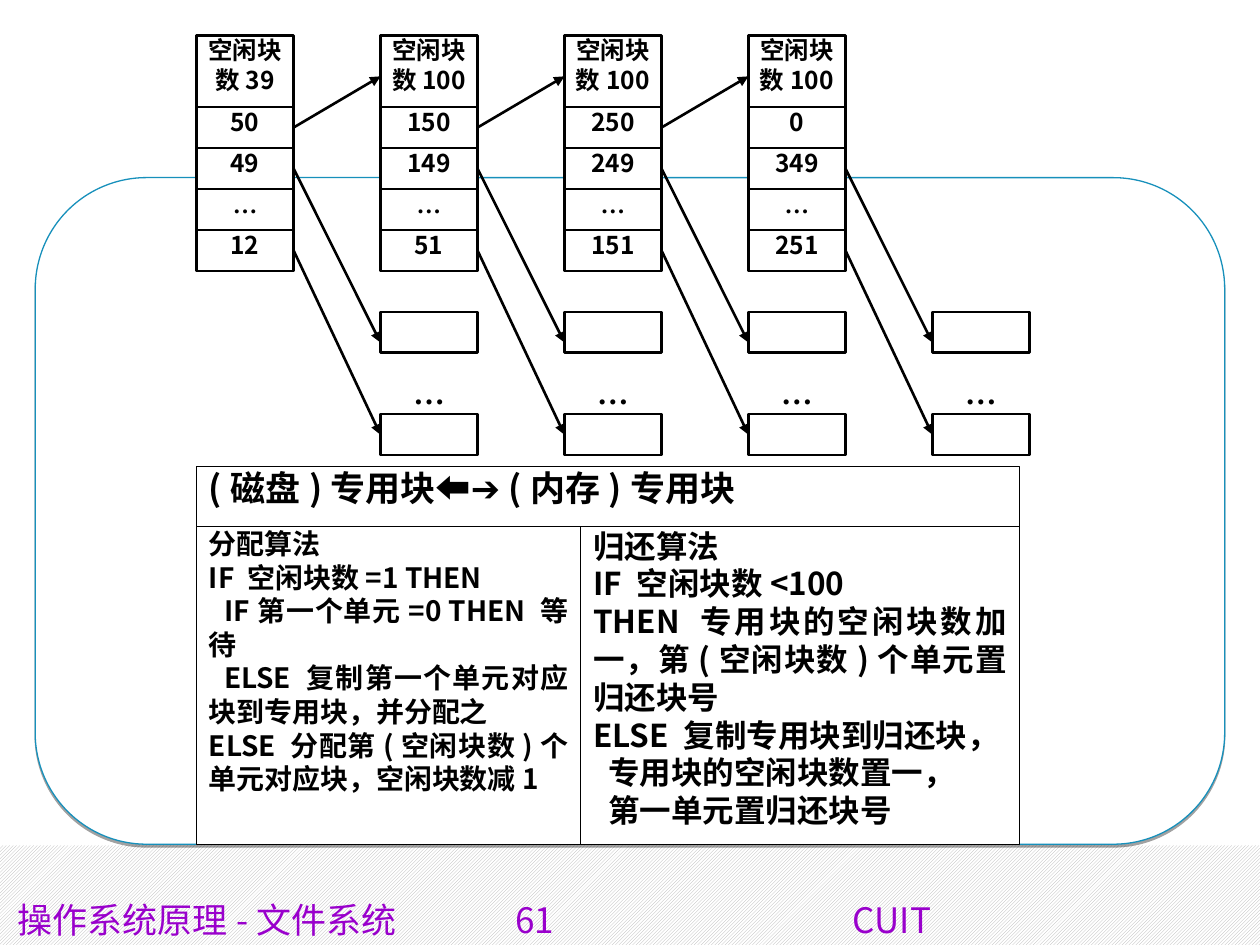
from dataclasses import dataclass

from lxml import etree
from pptx import Presentation, util as u
from pptx.dml.color import RGBColor
from pptx.enum import dml, shapes, text
from pptx.oxml import parse_xml
from pptx.oxml.ns import nsdecls, qn


@dataclass(frozen=True)
class Theme:
    black: str = "000000"
    white: str = "FFFFFF"
    frame: str = "1790BB"
    hatch: str = "B2B2B2"
    footer: str = "9900CC"
    font: str = "Noto Sans CJK JP"
    footer_font: str = "Noto Sans CJK SC"
    dots_font: str = "Times New Roman"
    cell: int = 14
    alloc: int = 16
    body: int = 18
    title: int = 20
    rule: float = 1.5
    hairline: float = 0.75


@dataclass(frozen=True)
class Box:
    left: float
    top: float
    width: float
    height: float

    def emu(self) -> list[int]:
        return [u.Inches(v) for v in (self.left, self.top, self.width, self.height)]


@dataclass(frozen=True)
class Stack:
    """One linked group of free blocks: its count and four entries."""
    count: str
    entries: tuple[str, ...]


@dataclass(frozen=True)
class Panel:
    box: Box
    size: int
    lines: tuple[str, ...]
    indented: tuple[int, ...] = ()


T = Theme()
WIDTH, HEIGHT = 10, 7.5
LEFT, PITCH, CELL_W = 1.56, 1.46, 0.77
HEAD_TOP, GRID_TOP, ROW = 0.28, 0.85, 0.325
INDENT = 0.12
DOTS = "…"

STACKS = (
    Stack("39", ("50", "49", DOTS, "12")),
    Stack("100", ("150", "149", DOTS, "51")),
    Stack("100", ("250", "249", DOTS, "151")),
    Stack("100", ("0", "349", DOTS, "251")),
)
# Rows of the grid: where an arrow leaves a stack and where it lands
NEXT_LINK = (0.5, -0.75)
BLOCK_LINKS = ((1.5, 5.75), (3.5, 8))
BLOCK_ROWS, DOTS_ROW = (5, 7.5), 6.5

PANELS = (
    Panel(Box(LEFT, 4.18, 3.05, 2.52), T.alloc, (
        "分配算法",
        "IF 空闲块数=1 THEN",
        "IF第一个单元=0 THEN 等待",
        "ELSE 复制第一个单元对应块到专用块，并分配之",
        "ELSE 分配第(空闲块数)个单元对应块，空闲块数减1"), (2, 3)),
    Panel(Box(LEFT + 3.05, 4.18, 3.48, 2.52), T.body, (
        "归还算法",
        "IF 空闲块数<100",
        "THEN 专用块的空闲块数加一，第(空闲块数)个单元置归还块号",
        "ELSE 复制专用块到归还块，",
        "专用块的空闲块数置一，",
        "第一单元置归还块号"), (4, 5)),
    Panel(Box(LEFT, 3.7, 6.53, 0.48), T.title, ("(磁盘)专用块⬅➔(内存)专用块",)),
)


def col_x(col: int) -> float:
    return LEFT + col * PITCH


def row_y(row: float) -> float:
    return GRID_TOP + row * ROW


def add_box(s, box: Box, line: str | None = T.black, weight: float = T.rule,
            kind=shapes.MSO_SHAPE.RECTANGLE):
    sp = s.shapes.add_shape(kind, *box.emu())
    sp.shadow.inherit = False
    sp.fill.solid()
    sp.fill.fore_color.rgb = RGBColor.from_string(T.white)
    if line:
        sp.line.color.rgb = RGBColor.from_string(line)
        sp.line.width = u.Pt(weight)
    else:
        sp.line.fill.background()
    return sp


def style(p, size: int, font: str, color: str = T.black, bold: bool = True) -> None:
    """Set Latin and East Asian fonts alike on a paragraph."""
    p.font.size = u.Pt(size)
    p.font.bold = bold
    p.font.color.rgb = RGBColor.from_string(color)
    p.font.name = font
    latin = p._p.pPr.find(qn("a:defRPr")).find(qn("a:latin"))
    latin.addnext(parse_xml(f'<a:ea {nsdecls("a")} typeface="{font}"/>'))


def write(sp, lines: tuple[str, ...], size: int, font: str = T.font,
          align=text.PP_ALIGN.CENTER, inset: float = 0,
          indented: tuple[int, ...] = ()) -> None:
    tf = sp.text_frame
    tf.word_wrap = True
    tf.vertical_anchor = text.MSO_ANCHOR.TOP
    tf.margin_left = tf.margin_right = u.Inches(inset)
    tf.margin_top = tf.margin_bottom = 0
    for i, line in enumerate(lines):
        p = tf.add_paragraph() if i else tf.paragraphs[0]
        p.add_run().text = line
        p.alignment = align
        style(p, size, font)
        if i in indented:
            p._p.pPr.set("indent", str(u.Inches(INDENT)))


def add_cell(s, col: int, row: float, label: str) -> None:
    sp = add_box(s, Box(col_x(col), row_y(row), CELL_W, ROW))
    write(sp, (label,), T.cell, T.dots_font if label == DOTS else T.font)


def add_stack(s, col: int, stack: Stack) -> None:
    head = add_box(s, Box(col_x(col), HEAD_TOP, CELL_W, GRID_TOP - HEAD_TOP))
    write(head, (f"空闲块数{stack.count}",), T.cell)
    for row, label in enumerate(stack.entries):
        add_cell(s, col, row, label)


def add_free_blocks(s, col: int) -> None:
    for row in BLOCK_ROWS:
        add_box(s, Box(col_x(col), row_y(row), CELL_W, ROW))
    dots = add_box(s, Box(col_x(col), row_y(DOTS_ROW), CELL_W, 0.24), line=None)
    write(dots, (DOTS,), T.body, T.dots_font)


def add_arrow(s, col: int, rows: tuple[float, float]) -> None:
    """Draw an arrow from a stack's right edge to the next column."""
    start, end = rows
    c = s.shapes.add_connector(
        shapes.MSO_CONNECTOR.STRAIGHT,
        u.Inches(col_x(col) + CELL_W), u.Inches(row_y(start)),
        u.Inches(col_x(col + 1)), u.Inches(row_y(end)))
    c.line.color.rgb = RGBColor.from_string(T.black)
    c.line.width = u.Pt(T.rule)
    etree.SubElement(c.line._get_or_add_ln(), qn("a:tailEnd"), type="triangle")
    etree.SubElement(c._element.spPr, qn("a:effectLst"))


def add_backdrop(s) -> None:
    band = add_box(s, Box(0, 6.71, WIDTH, HEIGHT - 6.71), line=None)
    band.fill.patterned()
    band.fill.pattern = dml.MSO_PATTERN.DARK_UPWARD_DIAGONAL
    band.fill.fore_color.rgb = RGBColor.from_string(T.hatch)
    band.fill.back_color.rgb = RGBColor.from_string(T.white)

    frame = add_box(s, Box(0.28, 1.41, 9.44, 5.29), T.frame, T.hairline,
                    shapes.MSO_SHAPE.ROUNDED_RECTANGLE)
    frame.adjustments[0] = 0.167
    frame._element.spPr.find(qn("a:effectLst")).append(parse_xml(
        f'<a:outerShdw {nsdecls("a")} blurRad="0" dist="{u.Pt(1.6)}" dir="5400000" '
        f'rotWithShape="0"><a:srgbClr val="{T.black}"><a:alpha val="37000"/>'
        '</a:srgbClr></a:outerShdw>'))


def add_footer(s) -> None:
    tf = s.shapes.add_textbox(*Box(0.04, 7.1, WIDTH, 0.4).emu()).text_frame
    tf.word_wrap = True
    tf.vertical_anchor = text.MSO_ANCHOR.MIDDLE
    p = tf.paragraphs[0]
    p.add_run().text = "操作系统原理-文件系统\t61\tCUIT"
    style(p, T.title, T.footer_font, T.footer, bold=False)
    stops = "".join(f'<a:tab pos="{u.Inches(x)}" algn="l"/>' for x in (3.95, 6.63))
    p._p.pPr.find(qn("a:defRPr")).addprevious(
        parse_xml(f'<a:tabLst {nsdecls("a")}>{stops}</a:tabLst>'))


def main() -> None:
    prs = Presentation()
    prs.slide_width, prs.slide_height = u.Inches(WIDTH), u.Inches(HEIGHT)
    s = prs.slides.add_slide(prs.slide_layouts[6])
    add_backdrop(s)
    add_footer(s)
    for col, stack in enumerate(STACKS):
        add_stack(s, col, stack)
        add_free_blocks(s, col + 1)
    for col in range(len(STACKS)):
        links = BLOCK_LINKS if col == len(STACKS) - 1 else (NEXT_LINK, *BLOCK_LINKS)
        for rows in links:
            add_arrow(s, col, rows)
    for panel in PANELS:
        sp = add_box(s, panel.box, weight=T.hairline)
        write(sp, panel.lines, panel.size, align=text.PP_ALIGN.JUSTIFY,
              inset=0.1, indented=panel.indented)
    prs.save("out.pptx")


if __name__ == "__main__":
    main()
